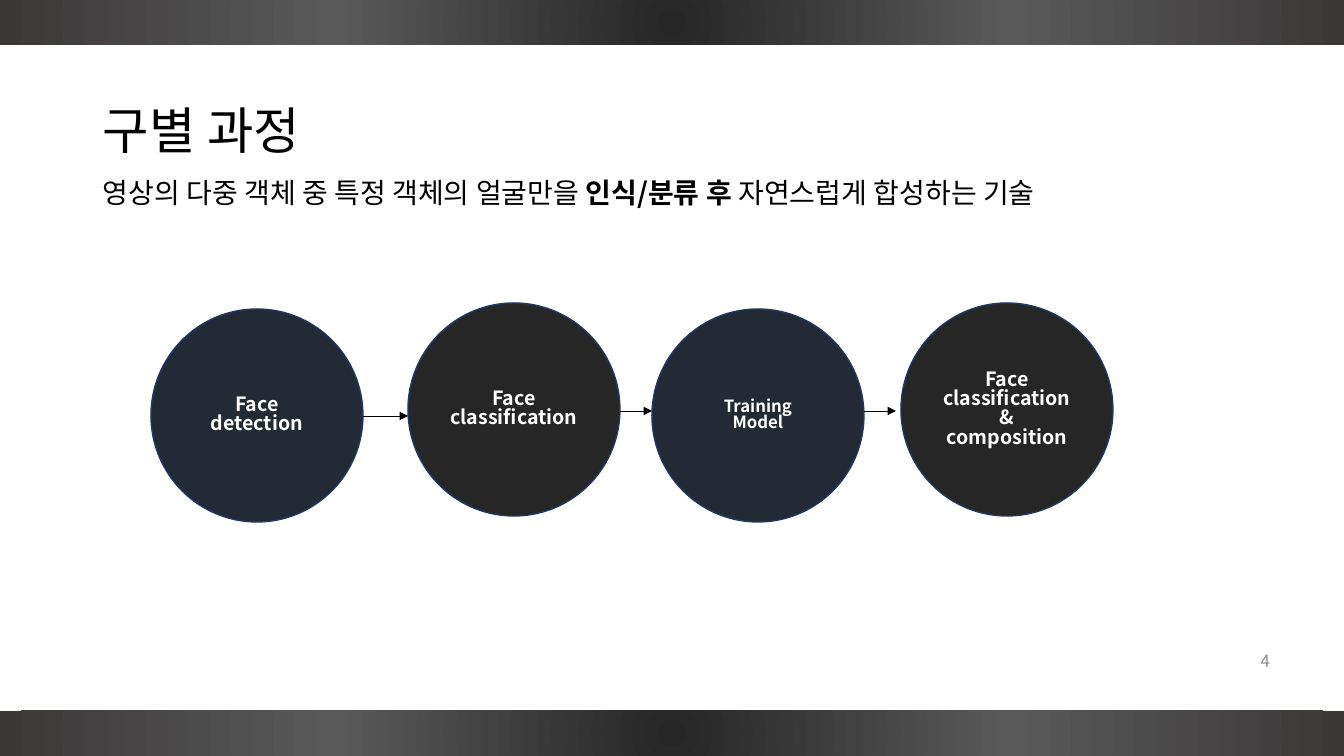
from lxml import etree
from pptx import Presentation, util as u
from pptx.dml.color import RGBColor
from pptx.enum import shapes, text
from pptx.oxml import parse_xml
from pptx.oxml.ns import nsdecls, qn

PX = 914400 / 100.8
WIDE, HIGH = 1344, 756
FONT = "Noto Sans CJK KR"
NAVY, COAL, EDGE = "222A35", "262626", "203864"
# left, top, fill, text size, lines
STEPS = [
    (151, 309, NAVY, 14, ["Face detection"]),
    (408, 303, COAL, 14, ["Face classification"]),
    (652, 309, NAVY, 12, ["Training", "Model"]),
    (901, 303, COAL, 14, ["Face classification & composition"]),
]
# start x, end x, y
ARROWS = [(363, 408, 416), (620, 652, 411), (864, 896, 411)]


def px(n):
    return u.Emu(round(n * PX))


def rgb(code):
    return RGBColor.from_string(code)


def write(frame, paras, size=14, color="000000", align="LEFT",
          anchor="MIDDLE", pitch=None, side=10):
    """Each paragraph is a list of (words, bold) runs."""
    frame.word_wrap = True
    frame.vertical_anchor = getattr(text.MSO_ANCHOR, anchor)
    frame.margin_left = frame.margin_right = px(side)
    frame.margin_top = frame.margin_bottom = px(5)
    for i, runs in enumerate(paras):
        para = frame.add_paragraph() if i else frame.paragraphs[0]
        para.alignment = getattr(text.PP_ALIGN, align)
        if pitch:
            para.line_spacing = pitch
        for words, bold in runs:
            run = para.add_run()
            run.text = words
            font = run.font
            font.name, font.size, font.bold = FONT, u.Pt(size), bold
            font.color.rgb = rgb(color)
            east = etree.SubElement(font._element, qn("a:ea"))
            east.set("typeface", FONT)


def label(slide, box, paras, **form):
    area = slide.shapes.add_textbox(*map(px, box))
    write(area.text_frame, paras, **form)


def band(slide, box):
    """Bar with a round gradient spreading from its middle."""
    bar = slide.shapes.add_shape(shapes.MSO_SHAPE.RECTANGLE, *map(px, box))
    bar.shadow.inherit = False
    bar.line.fill.background()
    stops = "".join(
        f'<a:gs pos="{pos}"><a:srgbClr val="{code}"/></a:gs>'
        for pos, code in [(0, COAL), (50000, "595959"), (100000, "3B3838")])
    grad = parse_xml(
        f'<a:gradFill {nsdecls("a")} rotWithShape="1"><a:gsLst>{stops}</a:gsLst>'
        '<a:path path="circle"><a:fillToRect l="50000" t="50000" r="50000" '
        'b="50000"/></a:path></a:gradFill>')
    bar._element.spPr.find(qn("a:prstGeom")).addnext(grad)


def disc(slide, box, fill, size, lines):
    ball = slide.shapes.add_shape(shapes.MSO_SHAPE.OVAL, *map(px, box))
    ball.shadow.inherit = False
    ball.fill.solid()
    ball.fill.fore_color.rgb = rgb(fill)
    ball.line.color.rgb = rgb(EDGE)
    ball.line.width = u.Pt(1)
    write(ball.text_frame, [[(line, True)] for line in lines], size=size,
          color="FFFFFF", align="CENTER", pitch=0.82, side=8)


def arrow(slide, start, end, y):
    link = slide.shapes.add_connector(
        shapes.MSO_CONNECTOR.STRAIGHT, px(start), px(y), px(end), px(y))
    link.line.color.rgb = rgb("000000")
    link.line.width = u.Pt(0.5)
    tip = etree.SubElement(link.line._get_or_add_ln(), qn("a:tailEnd"))
    tip.set("type", "triangle")
    etree.SubElement(link._element.spPr, qn("a:effectLst"))


def head(slide, left, top, wide):
    label(slide, (left, top, wide, 105), [[("구별 과정", False)]],
          size=36, pitch=0.9)
    label(slide, (left, top + 93, wide + 11, 53),
          [[("영상의 다중 객체 중 특정 객체의 얼굴만을 ", False),
            ("인식/분류 후 ", True),
            ("자연스럽게 합성하는 기술", False)]],
          size=20, anchor="TOP", pitch=0.9)


def flow(slide):
    for left, top, fill, size, lines in STEPS:
        disc(slide, (left, top, 212, 213), fill, size, lines)
    for ends in ARROWS:
        arrow(slide, *ends)


def main():
    deck = Presentation()
    deck.slide_width, deck.slide_height = px(WIDE), px(HIGH)
    slide = deck.slides.add_slide(deck.slide_layouts[6])
    # Title and lead
    head(slide, 93, 81, 1159)
    # Page number
    label(slide, (978, 641, 302, 40), [[("4", False)]],
          size=12, color="8C8C8C", align="RIGHT")
    # Top and bottom bands
    for top in (0, HIGH - 45):
        band(slide, (0, top, WIDE, 45))
    # Process
    flow(slide)
    deck.save("out.pptx")


if __name__ == "__main__":
    main()
